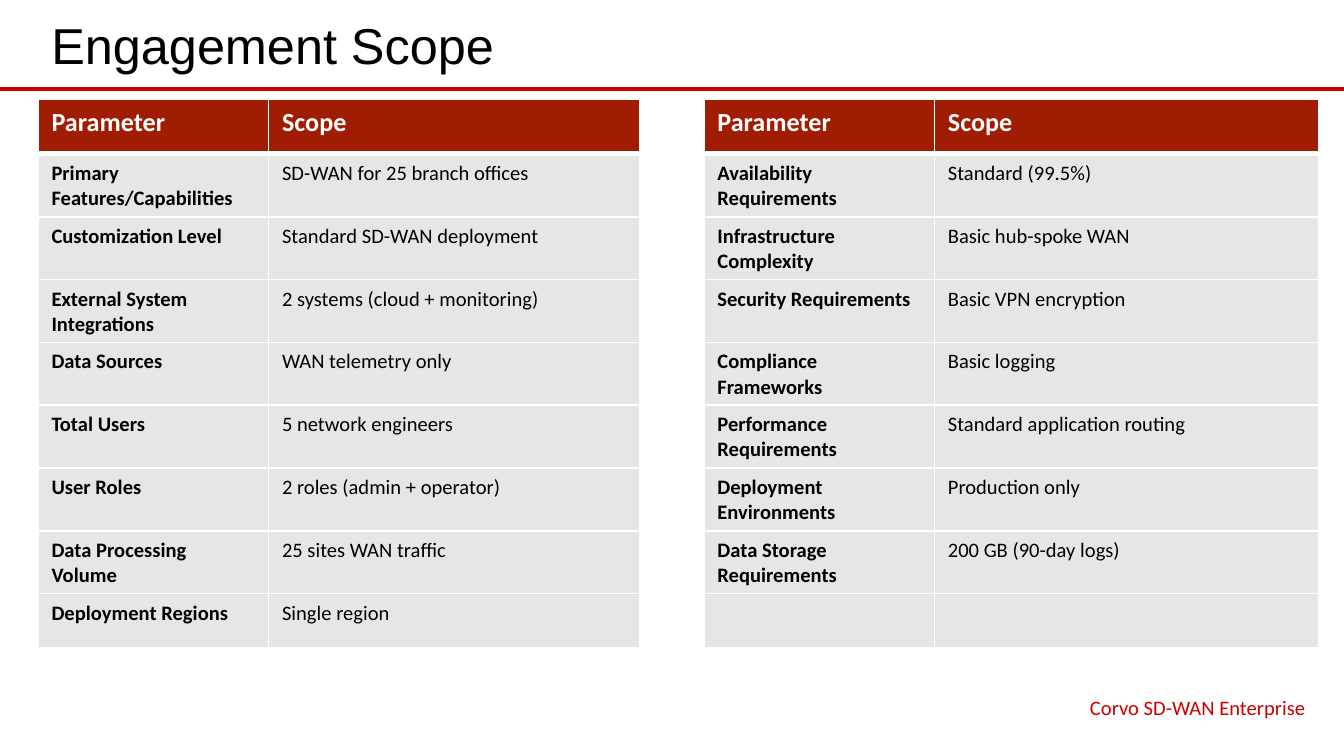
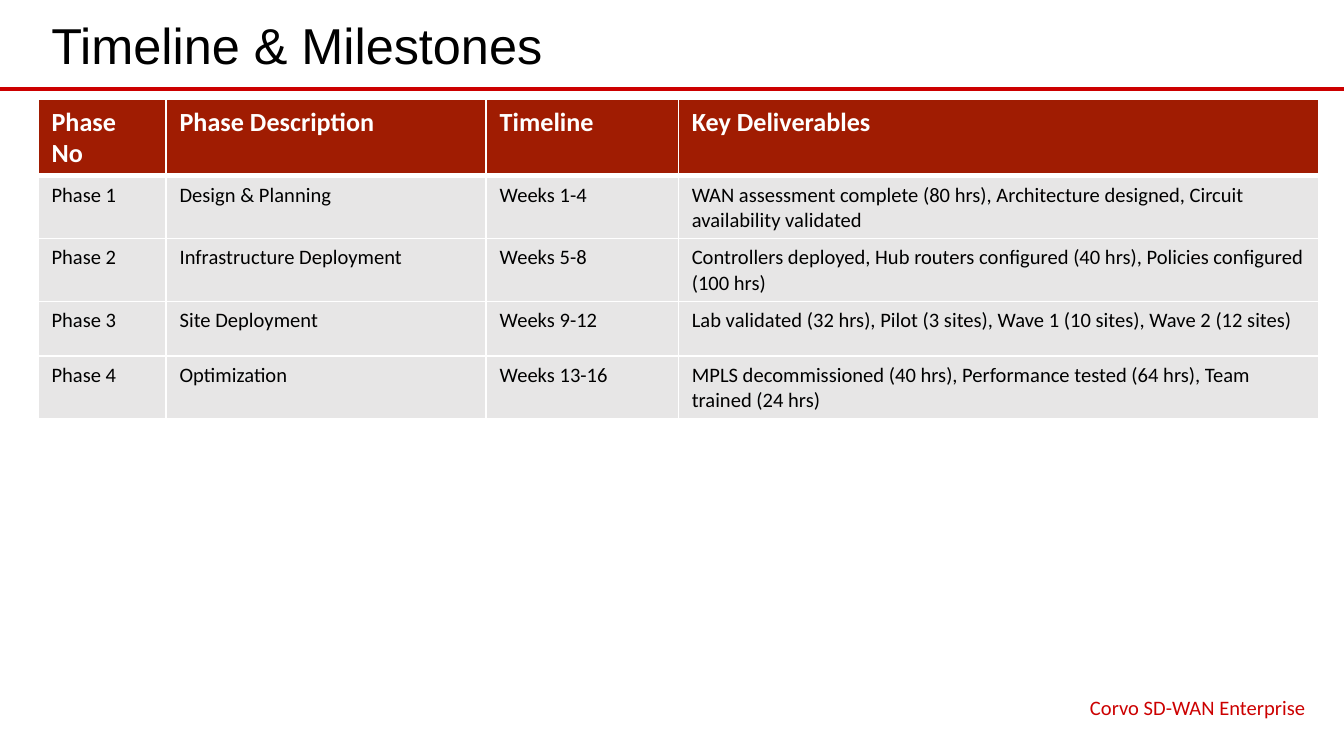
from dataclasses import dataclass
from typing import Any

from lxml.etree import SubElement
from pptx import Presentation
from pptx.dml.color import RGBColor
from pptx.enum.shapes import MSO_CONNECTOR
from pptx.enum.text import MSO_ANCHOR, PP_ALIGN
from pptx.oxml.ns import qn
from pptx.util import Pt

COLOURS = {
    "paper": "FFFFFF",
    "ink": "000000",
    "accent": "CC0000",
    "header": "A01C02",
    "body": "E7E6E6",
}

PAGE_WIDTH, PAGE_HEIGHT = 720, 405
MARGIN_LEFT, CONTENT_WIDTH = 20.4, 686
RULE_TOP = 47.5
TABLE_TOP, ROW_HEIGHT = 53.3, 29.2
THIN_BORDER, THICK_BORDER = 1, 3


@dataclass(frozen=True)
class TextStyle:
    font: str
    size: float
    colour: str
    bold: bool = False


@dataclass(frozen=True)
class TextBox:
    left: float
    top: float
    width: float
    height: float
    style: TextStyle
    align: PP_ALIGN
    anchor: MSO_ANCHOR


@dataclass(frozen=True)
class TablePage:
    title: str
    column_shares: tuple[float, ...]
    rows: tuple[tuple[str, ...], ...]
    bold_columns: tuple[int, ...] = ()
    gap_columns: tuple[int, ...] = ()


HEADER_STYLE = TextStyle("Calibri", 14, "paper", True)
LABEL_STYLE = TextStyle("Calibri", 11, "ink", True)
VALUE_STYLE = TextStyle("Calibri", 11, "ink")

TITLE_BOX = TextBox(MARGIN_LEFT, 3, CONTENT_WIDTH, 42,
                    TextStyle("Arial", 27, "ink"), PP_ALIGN.LEFT, MSO_ANCHOR.MIDDLE)
FOOTER_BOX = TextBox(453, 368.6, 253.4, 18.7,
                     TextStyle("Calibri", 11, "accent"), PP_ALIGN.RIGHT, MSO_ANCHOR.TOP)
FOOTER_TEXT = "Corvo SD-WAN Enterprise"

PAGES = (
    TablePage(
        "Engagement Scope",
        (0.18, 0.29, 0.05, 0.18, 0.30),
        (
            ("Parameter", "Scope", "", "Parameter", "Scope"),
            ("Primary Features/Capabilities", "SD-WAN for 25 branch offices", "",
             "Availability Requirements", "Standard (99.5%)"),
            ("Customization Level", "Standard SD-WAN deployment", "",
             "Infrastructure Complexity", "Basic hub-spoke WAN"),
            ("External System Integrations", "2 systems (cloud + monitoring)", "",
             "Security Requirements", "Basic VPN encryption"),
            ("Data Sources", "WAN telemetry only", "",
             "Compliance Frameworks", "Basic logging"),
            ("Total Users", "5 network engineers", "",
             "Performance Requirements", "Standard application routing"),
            ("User Roles", "2 roles (admin + operator)", "",
             "Deployment Environments", "Production only"),
            ("Data Processing Volume", "25 sites WAN traffic", "",
             "Data Storage Requirements", "200 GB (90-day logs)"),
            ("Deployment Regions", "Single region", "", "", ""),
        ),
        bold_columns=(0, 3),
        gap_columns=(2,),
    ),
    TablePage(
        "Timeline & Milestones",
        (0.10, 0.25, 0.15, 0.50),
        (
            ("Phase No", "Phase Description", "Timeline", "Key Deliverables"),
            ("Phase 1", "Design & Planning", "Weeks 1-4",
             "WAN assessment complete (80 hrs), Architecture designed, "
             "Circuit availability validated"),
            ("Phase 2", "Infrastructure Deployment", "Weeks 5-8",
             "Controllers deployed, Hub routers configured (40 hrs), "
             "Policies configured (100 hrs)"),
            ("Phase 3", "Site Deployment", "Weeks 9-12",
             "Lab validated (32 hrs), Pilot (3 sites), Wave 1 (10 sites), "
             "Wave 2 (12 sites)"),
            ("Phase 4", "Optimization", "Weeks 13-16",
             "MPLS decommissioned (40 hrs), Performance tested (64 hrs), "
             "Team trained (24 hrs)"),
        ),
    ),
)


def colour(name: str) -> RGBColor:
    return RGBColor.from_string(COLOURS[name])


def write(para: Any, text: str, style: TextStyle) -> None:
    span = para.add_run()
    span.text = text
    formats = {"name": style.font, "size": Pt(style.size), "bold": style.bold}
    for attribute, value in formats.items():
        setattr(span.font, attribute, value)
    span.font.color.rgb = colour(style.colour)


def add_text(page: Any, place: TextBox, text: str) -> None:
    box = page.shapes.add_textbox(
        Pt(place.left), Pt(place.top), Pt(place.width), Pt(place.height))
    formats = {"word_wrap": True, "vertical_anchor": place.anchor}
    for attribute, value in formats.items():
        setattr(box.text_frame, attribute, value)
    para = box.text_frame.paragraphs[0]
    para.alignment = place.align
    write(para, text, place.style)


def add_rule(page: Any) -> None:
    rule = page.shapes.add_connector(
        MSO_CONNECTOR.STRAIGHT, Pt(0), Pt(RULE_TOP), Pt(PAGE_WIDTH), Pt(RULE_TOP))
    rule.line.width = Pt(2.25)
    rule.line.color.rgb = colour("accent")
    SubElement(rule.element.spPr, qn("a:effectLst"))


def add_borders(cell: Any, top: float, bottom: float) -> None:
    """Add the cell's borders; must run before its fill is set."""
    widths = {"lnL": THIN_BORDER, "lnR": THIN_BORDER, "lnT": top, "lnB": bottom}
    properties = cell._tc.get_or_add_tcPr()
    for side, width in widths.items():
        border = SubElement(properties, qn(f"a:{side}"), w=str(Pt(width)))
        fill = SubElement(border, qn("a:solidFill"))
        SubElement(fill, qn("a:srgbClr"), val=COLOURS["paper"])


def add_table(page: Any, content: TablePage) -> None:
    row_count = len(content.rows)
    frame = page.shapes.add_table(
        row_count, len(content.column_shares), Pt(MARGIN_LEFT), Pt(TABLE_TOP),
        Pt(CONTENT_WIDTH), Pt(ROW_HEIGHT * row_count))
    table = frame.table
    table.horz_banding = False
    for column, share in zip(table.columns, content.column_shares):
        column.width = Pt(CONTENT_WIDTH * share)
    for row_index, texts in enumerate(content.rows):
        table.rows[row_index].height = Pt(ROW_HEIGHT)
        for column_index, text in enumerate(texts):
            cell = table.cell(row_index, column_index)
            if row_index == 0:
                style, fill = HEADER_STYLE, "header"
            else:
                is_label = column_index in content.bold_columns
                style, fill = LABEL_STYLE if is_label else VALUE_STYLE, "body"
            if column_index in content.gap_columns:
                fill = "paper"
            add_borders(cell,
                        top=THICK_BORDER if row_index == 1 else THIN_BORDER,
                        bottom=THICK_BORDER if row_index == 0 else THIN_BORDER)
            cell.fill.solid()
            cell.fill.fore_color.rgb = colour(fill)
            if text:
                write(cell.text_frame.paragraphs[0], text, style)


def add_page(deck: Any, content: TablePage) -> None:
    page = deck.slides.add_slide(deck.slide_layouts[6])
    add_rule(page)
    add_text(page, TITLE_BOX, content.title)
    add_table(page, content)
    add_text(page, FOOTER_BOX, FOOTER_TEXT)


def main() -> None:
    deck = Presentation()
    deck.slide_width, deck.slide_height = Pt(PAGE_WIDTH), Pt(PAGE_HEIGHT)
    for content in PAGES:
        add_page(deck, content)
    deck.save("out.pptx")


if __name__ == "__main__":
    main()
